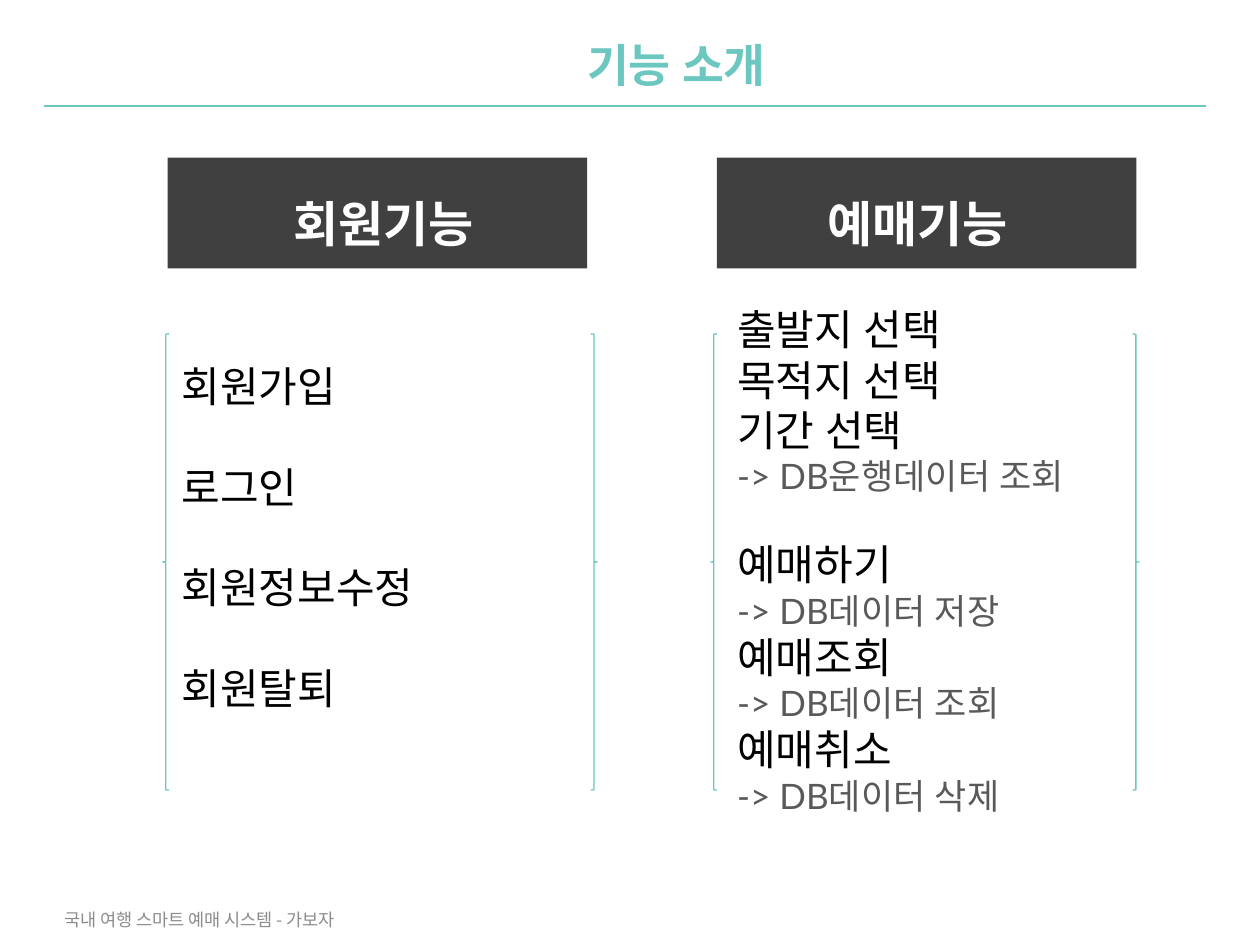
from lxml import etree
from pptx import Presentation
from pptx.dml.color import RGBColor
from pptx.enum.shapes import MSO_CONNECTOR, MSO_SHAPE
from pptx.enum.text import MSO_ANCHOR, MSO_AUTO_SIZE, PP_ALIGN
from pptx.oxml.ns import qn
from pptx.util import Inches, Pt

RECTANGLE, BRACE = MSO_SHAPE.RECTANGLE, MSO_SHAPE.LEFT_BRACE
STRAIGHT = MSO_CONNECTOR.STRAIGHT
TOP, MIDDLE = MSO_ANCHOR.TOP, MSO_ANCHOR.MIDDLE
LEFT, CENTER = PP_ALIGN.LEFT, PP_ALIGN.CENTER
NO_AUTOFIT = MSO_AUTO_SIZE.NONE

COLORS = {"teal": "6BC7BF", "dark": "404040", "white": "FFFFFF",
          "black": "000000", "detail": "595959", "footer": "8C8C8C"}
MAIN_FONT, FOOTER_FONT = "Lato", "Noto Sans CJK KR"

# Each list entry: text, is it a detail line, space before in points
MEMBER_ITEMS = [("회원가입", False, 0)] + [
    (text, False, 28.8) for text in ("로그인", "회원정보수정", "회원탈퇴")]
BOOKING_ITEMS = [
    ("출발지 선택", False, 0),
    ("목적지 선택", False, 0),
    ("기간 선택", False, 0),
    ("-> DB운행데이터 조회", True, 0),
    ("예매하기", False, 24),
    ("-> DB데이터 저장", True, 0),
    ("예매조회", False, 0),
    ("-> DB데이터 조회", True, 0),
    ("예매취소", False, 0),
    ("-> DB데이터 삭제", True, 0),
]


def color(name):
    return RGBColor.from_string(COLORS[name])


def place(shape, left, top, width, height):
    shape.left, shape.top = Inches(left), Inches(top)
    shape.width, shape.height = Inches(width), Inches(height)


def prepare_frame(shape, anchor=TOP, wrap=True):
    frame = shape.text_frame
    frame.auto_size = NO_AUTOFIT
    frame.word_wrap = wrap
    frame.vertical_anchor = anchor
    return frame


def add_run(paragraph, text, size, color_name, bold=False, font=MAIN_FONT):
    run = paragraph.add_run()
    run.text = text
    run.font.size = Pt(size)
    run.font.bold = bold
    run.font.name = font
    run.font.color.rgb = color(color_name)
    # Korean letters take the East Asian font
    east_asian = etree.SubElement(run.font._element, qn("a:ea"))
    east_asian.set("typeface", font)


def fill_title(title, text):
    place(title, 4.49, 0.24, 1.76, 0.54)
    paragraph = prepare_frame(title, wrap=False).paragraphs[0]
    paragraph.alignment = CENTER
    add_run(paragraph, text, 26, "teal", bold=True)


def fill_list(body, left, top, height, items):
    place(body, left, top, 3.32, height)
    frame = prepare_frame(body)
    for index, (text, is_detail, gap) in enumerate(items):
        paragraph = frame.add_paragraph() if index else frame.paragraphs[0]
        paragraph.alignment = LEFT
        paragraph.space_before = Pt(gap)
        properties = paragraph._p.get_or_add_pPr()
        properties.set("marL", "0")
        properties.set("indent", "0")
        etree.SubElement(properties, qn("a:buNone"))
        if is_detail:
            add_run(paragraph, text, 20, "detail")
        else:
            add_run(paragraph, text, 24, "black")


def add_rule(slide):
    rule = slide.shapes.add_connector(
        STRAIGHT, Inches(0.35), Inches(0.84), Inches(9.57), Inches(0.84))
    rule.line.color.rgb = color("teal")
    rule.line.width = Pt(1)
    etree.SubElement(rule._element.spPr, qn("a:effectLst"))


def add_heading(slide, left, text, left_inset, right_inset):
    heading = slide.shapes.add_shape(
        RECTANGLE, Inches(left), Inches(1.25), Inches(3.33), Inches(0.88))
    heading.shadow.inherit = False
    heading.fill.solid()
    heading.fill.fore_color.rgb = color("dark")
    heading.line.fill.background()
    frame = prepare_frame(heading)
    frame.margin_left, frame.margin_right = Inches(left_inset), Inches(right_inset)
    paragraph = frame.paragraphs[0]
    paragraph.alignment = CENTER
    paragraph.line_spacing = 1.5
    add_run(paragraph, text, 28, "white", bold=True)


def add_brace(slide, left, flipped):
    brace = slide.shapes.add_shape(
        BRACE, Inches(left), Inches(2.65), Inches(0.05), Inches(3.62))
    brace.shadow.inherit = False
    brace.fill.background()
    brace.line.color.rgb = color("teal")
    brace.line.width = Pt(0.75)
    if flipped:
        brace._element.spPr.xfrm.set("flipH", "1")


def add_footer(slide, text):
    footer = slide.shapes.add_textbox(
        Inches(0), Inches(7.1), Inches(3.17), Inches(0.4))
    paragraph = prepare_frame(footer, MIDDLE).paragraphs[0]
    paragraph.alignment = CENTER
    add_run(paragraph, text, 10, "footer", font=FOOTER_FONT)


def main():
    presentation = Presentation()
    presentation.slide_width, presentation.slide_height = Inches(10), Inches(7.5)
    slide = presentation.slides.add_slide(presentation.slide_layouts[3])
    title, member_list, booking_list = slide.placeholders

    # Title and rule
    fill_title(title, "기능 소개")
    add_rule(slide)

    # Column headings
    add_heading(slide, 1.33, "회원기능", 0.2, 0.1)
    add_heading(slide, 5.69, "예매기능", 0.1, 0.25)

    # Braces around each list
    for left_brace, right_brace in ((1.29, 4.69), (5.64, 8.99)):
        add_brace(slide, left_brace, False)
        add_brace(slide, right_brace, True)

    # Lists
    fill_list(member_list, 1.34, 2.81, 2.93, MEMBER_ITEMS)
    fill_list(booking_list, 5.75, 2.36, 4.21, BOOKING_ITEMS)

    add_footer(slide, "국내 여행 스마트 예매 시스템 - 가보자")
    presentation.save("out.pptx")


if __name__ == "__main__":
    main()
